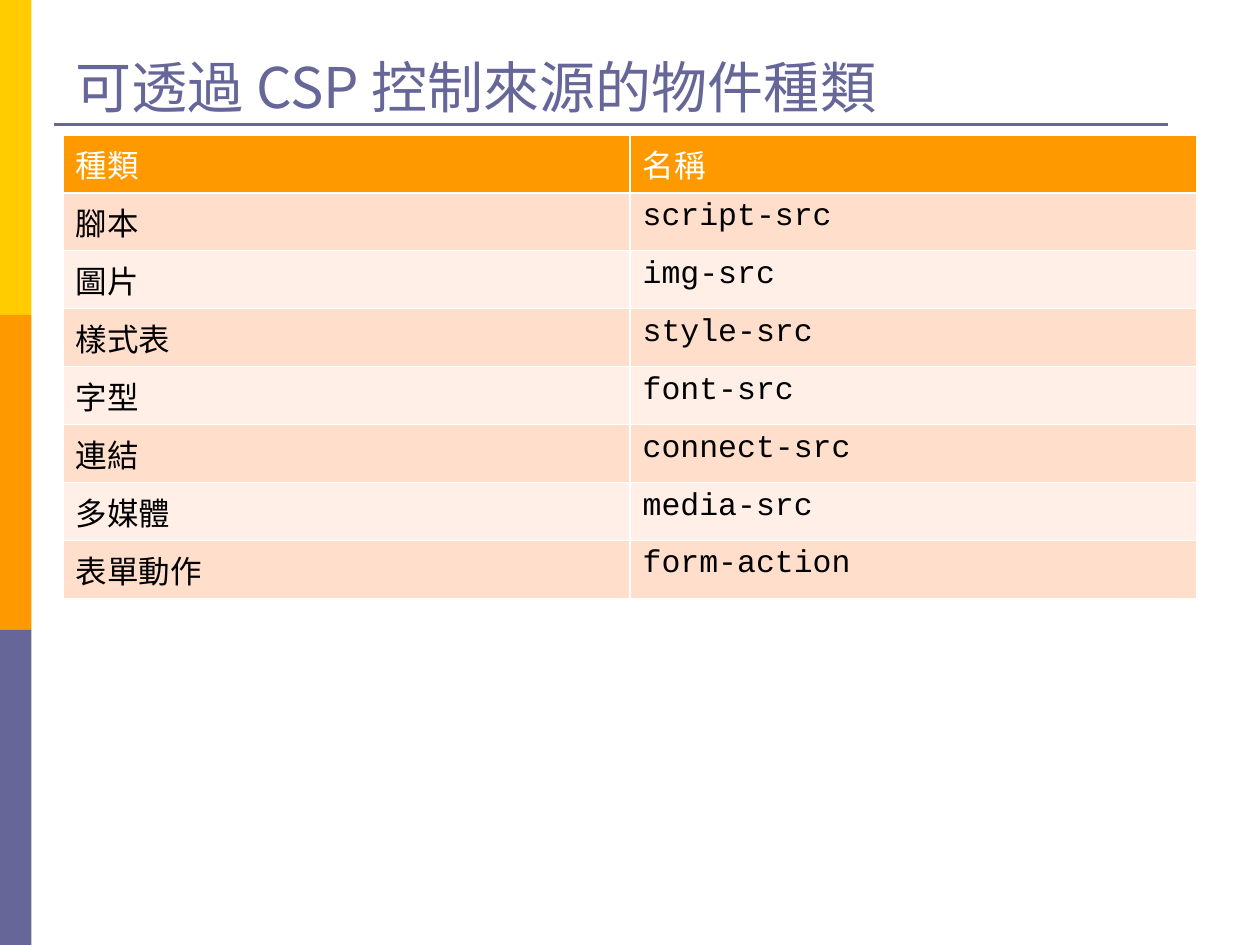
"""Build a slide that lists the object types whose sources CSP controls."""
from dataclasses import dataclass

import lxml.etree
import pptx
import pptx.dml.color
import pptx.enum.shapes
import pptx.enum.text
import pptx.oxml.ns
import pptx.util

EMU_PER_PX = 9144
ROW_HEIGHT = 46
CJK_FONT = "Noto Sans CJK TC"
COLORS = {
    "yellow": "FFCC00",
    "orange": "FF9900",
    "purple": "666699",
    "white": "FFFFFF",
    "black": "000000",
    "dark_band": "FFDECC",
    "light_band": "FFEFE7",
}


@dataclass(frozen=True)
class Directive:
    kind: str
    name: str


@dataclass(frozen=True)
class TextStyle:
    font: str
    size: int
    color: str


HEADER = Directive("種類", "名稱")
DIRECTIVES = [
    Directive("腳本", "script-src"),
    Directive("圖片", "img-src"),
    Directive("樣式表", "style-src"),
    Directive("字型", "font-src"),
    Directive("連結", "connect-src"),
    Directive("多媒體", "media-src"),
    Directive("表單動作", "form-action"),
]
TITLE_STYLE = TextStyle(CJK_FONT, 32, "purple")
HEADER_STYLE = TextStyle("Arial", 18, "white")
KIND_STYLE = TextStyle("Arial", 18, "black")
NAME_STYLE = TextStyle("Courier New", 18, "black")


def px(length: int) -> pptx.util.Emu:
    return pptx.util.Emu(length * EMU_PER_PX)


def rgb(color: str) -> pptx.dml.color.RGBColor:
    return pptx.dml.color.RGBColor.from_string(COLORS[color])


def add_element(parent, tag: str, **attributes: str):
    return lxml.etree.SubElement(parent, pptx.oxml.ns.qn(tag), **attributes)


def write_text(text_frame, text: str, style: TextStyle) -> None:
    paragraph = text_frame.paragraphs[0]
    paragraph.text = text
    font = paragraph.font
    font.name = style.font
    font.size = pptx.util.Pt(style.size)
    font.bold = False
    font.color.rgb = rgb(style.color)
    add_element(paragraph._p.pPr.defRPr, "a:ea", typeface=CJK_FONT)


def add_side_bars(slide) -> None:
    for index, color in enumerate(("yellow", "orange", "purple")):
        bar = slide.shapes.add_shape(
            pptx.enum.shapes.MSO_SHAPE.RECTANGLE, 0, px(250 * index), px(25), px(250)
        )
        bar.shadow.inherit = False
        bar.fill.solid()
        bar.fill.fore_color.rgb = rgb(color)
        bar.line.fill.background()


def add_title(slide) -> None:
    rule = slide.shapes.add_connector(
        pptx.enum.shapes.MSO_CONNECTOR.STRAIGHT, px(43), px(99), px(927), px(99)
    )
    rule.line.color.rgb = rgb("purple")
    rule.line.width = pptx.util.Pt(1.5)
    add_element(rule._element.spPr, "a:effectLst")

    title = slide.shapes.add_textbox(px(50), px(13), px(900), px(87))
    title.text_frame.word_wrap = True
    title.text_frame.vertical_anchor = pptx.enum.text.MSO_ANCHOR.BOTTOM
    write_text(title.text_frame, "可透過 CSP 控制來源的物件種類", TITLE_STYLE)


def set_borders(cell) -> None:
    properties = cell._tc.get_or_add_tcPr()
    for index, tag in enumerate(("a:lnL", "a:lnR", "a:lnT", "a:lnB")):
        line = add_element(properties, tag, w=str(pptx.util.Pt(1)))
        fill = add_element(line, "a:solidFill")
        add_element(fill, "a:srgbClr", val=COLORS["white"])
        properties.insert(index, line)


def fill_row(
    table, row: int, directive: Directive, styles: tuple[TextStyle, TextStyle], color: str
) -> None:
    for column, text in enumerate((directive.kind, directive.name)):
        cell = table.cell(row, column)
        cell.fill.solid()
        cell.fill.fore_color.rgb = rgb(color)
        set_borders(cell)
        write_text(cell.text_frame, text, styles[column])


def add_directive_table(slide) -> None:
    row_count = len(DIRECTIVES) + 1
    table = slide.shapes.add_table(
        row_count, 2, px(50), px(107), px(900), px(ROW_HEIGHT * row_count)
    ).table
    fill_row(table, 0, HEADER, (HEADER_STYLE, HEADER_STYLE), "orange")
    for row, directive in enumerate(DIRECTIVES, start=1):
        band = "dark_band" if row % 2 else "light_band"
        fill_row(table, row, directive, (KIND_STYLE, NAME_STYLE), band)


def main() -> None:
    presentation = pptx.Presentation()
    presentation.slide_width = px(1000)
    presentation.slide_height = px(750)
    slide = presentation.slides.add_slide(presentation.slide_layouts[6])
    add_side_bars(slide)
    add_title(slide)
    add_directive_table(slide)
    presentation.save("out.pptx")


if __name__ == "__main__":
    main()
